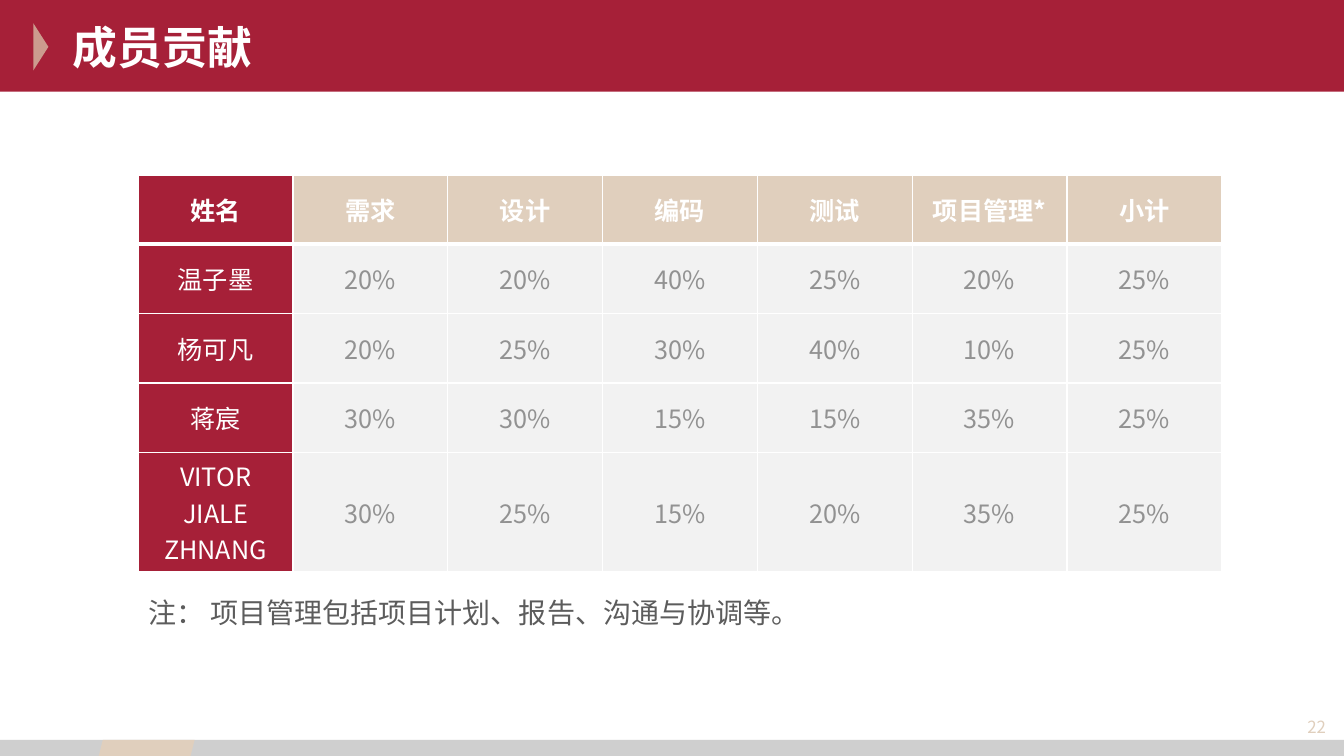
from typing import NamedTuple

from lxml.etree import SubElement
from pptx import Presentation
from pptx.dml.color import RGBColor
from pptx.enum.shapes import MSO_SHAPE as Preset
from pptx.enum.text import MSO_ANCHOR as Anchor, MSO_AUTO_SIZE as AutoSize, PP_ALIGN as Align
from pptx.oxml.ns import qn
from pptx.util import Inches, Pt

FONT = "Noto Sans CJK SC"
CRIMSON = RGBColor(0xA6, 0x20, 0x38)
ROSE = RGBColor(0xCC, 0x9B, 0x8E)
SAND = RGBColor(0xE0, 0xCF, 0xBD)
SILVER = RGBColor(0xBF, 0xBF, 0xBF)
PALE = RGBColor(0xF2, 0xF2, 0xF2)
GREY = RGBColor(0x92, 0x92, 0x92)
DARK = RGBColor(0x5C, 0x5C, 0x5C)
WHITE = RGBColor(0xFF, 0xFF, 0xFF)

HEADINGS = ["姓名", "需求", "设计", "编码", "测试", "项目管理*", "小计"]
ROW_HEIGHTS = [0.68, 0.69, 0.69, 0.69, 1.18]  # the last name takes three lines
TABLE_WIDTH = 10.75


class Decoration(NamedTuple):
    preset: Preset
    left: float
    top: float
    width: float
    height: float
    fill: RGBColor
    rotation: int = 0
    opacity: int = 100


class Member(NamedTuple):
    name: str
    shares: list[int]


DECORATIONS = [
    Decoration(Preset.RECTANGLE, 0, 0, 13.33, 0.91, CRIMSON),
    Decoration(Preset.ISOSCELES_TRIANGLE, 0.17, 0.39, 0.47, 0.15, ROSE, rotation=90),
    Decoration(Preset.RECTANGLE, 0, 7.34, 13.33, 0.16, SILVER, opacity=75),
    Decoration(Preset.PARALLELOGRAM, 0.98, 7.34, 0.95, 0.16, SAND),
]

MEMBERS = [
    Member("温子墨", [20, 20, 40, 25, 20, 25]),
    Member("杨可凡", [20, 25, 30, 40, 10, 25]),
    Member("蒋宸", [30, 30, 15, 15, 35, 25]),
    Member("VITOR JIALE ZHNANG", [30, 25, 15, 20, 35, 25]),
]


def write(frame, text: str, *, size: float, color: RGBColor, bold: bool = False,
          align: Align = Align.LEFT, anchor: Anchor = Anchor.MIDDLE,
          line_spacing: float = 1.0) -> None:
    frame.word_wrap = True
    frame.vertical_anchor = anchor
    paragraph = frame.paragraphs[0]
    paragraph.alignment = align
    paragraph.line_spacing = line_spacing
    paragraph.space_before = Pt(0)
    run = paragraph.add_run()
    run.text = text
    run.font.size = Pt(size)
    run.font.bold = bold
    run.font.color.rgb = color
    run.font.name = FONT
    SubElement(run.font._element, qn("a:ea"), typeface=FONT)


def decorate(slide, item: Decoration) -> None:
    shape = slide.shapes.add_shape(item.preset, Inches(item.left), Inches(item.top),
                                   Inches(item.width), Inches(item.height))
    shape.rotation = item.rotation
    shape.shadow.inherit = False
    shape.fill.solid()
    shape.fill.fore_color.rgb = item.fill
    shape.line.fill.background()
    if item.opacity < 100:
        color = shape.element.spPr.find(qn("a:solidFill"))[0]
        SubElement(color, qn("a:alpha"), val=str(item.opacity * 1000))


def add_borders(cell, widths: dict[str, int]) -> None:
    """Draw white borders; they precede the fill in the cell properties."""
    properties = cell._tc.get_or_add_tcPr()
    for side, width in widths.items():
        line = SubElement(properties, qn(f"a:ln{side}"), w=str(Pt(width)))
        fill = SubElement(line, qn("a:solidFill"))
        SubElement(fill, qn("a:srgbClr"), val=str(WHITE))


def add_contributions(slide) -> None:
    rows = [HEADINGS] + [[member.name] + [f"{share}%" for share in member.shares]
                         for member in MEMBERS]
    table = slide.shapes.add_table(
        len(rows), len(HEADINGS), Inches(1.37), Inches(1.74),
        Inches(TABLE_WIDTH), Inches(sum(ROW_HEIGHTS))).table
    for column in table.columns:
        column.width = Inches(TABLE_WIDTH / len(HEADINGS))
    for r, (row, height) in enumerate(zip(rows, ROW_HEIGHTS)):
        table.rows[r].height = Inches(height)
        for c, text in enumerate(row):
            cell = table.cell(r, c)
            is_heading, is_name = r == 0, c == 0
            add_borders(cell, {"L": 1, "R": 1, "T": 3 if r == 1 else 1,
                               "B": 3 if is_heading else 1})
            cell.fill.solid()
            cell.fill.fore_color.rgb = CRIMSON if is_name else SAND if is_heading else PALE
            cell.vertical_anchor = Anchor.MIDDLE
            write(cell.text_frame, text, size=18, bold=is_heading, align=Align.CENTER,
                  color=WHITE if is_heading or is_name else GREY)


def main() -> None:
    deck = Presentation()
    deck.slide_width, deck.slide_height = Inches(13.33), Inches(7.5)
    slide = deck.slides.add_slide(deck.slide_layouts[5])

    # Header band and footer strip
    for item in DECORATIONS:
        decorate(slide, item)

    # Title, brought in front of the header band
    title = slide.shapes.title
    title.left, title.top = Inches(0.62), Inches(0.14)
    title.width, title.height = Inches(10.69), Inches(0.65)
    title.element.getparent().append(title.element)
    title.text_frame.auto_size = AutoSize.NONE
    write(title.text_frame, "成员贡献", size=32, color=WHITE, bold=True)

    # Page number
    page = slide.shapes.add_textbox(Inches(12.12), Inches(7.02), Inches(1.13), Inches(0.38))
    write(page.text_frame, "22", size=12, color=SAND, align=Align.RIGHT)

    # Contribution table and its note
    add_contributions(slide)
    note = slide.shapes.add_textbox(Inches(1.37), Inches(5.79), Inches(10.58), Inches(0.5))
    note.text_frame.auto_size = AutoSize.SHAPE_TO_FIT_TEXT
    write(note.text_frame, "注： 项目管理包括项目计划、报告、沟通与协调等。", size=20, color=DARK,
          align=Align.JUSTIFY, anchor=Anchor.TOP, line_spacing=1.2)

    deck.save("out.pptx")


if __name__ == "__main__":
    main()
